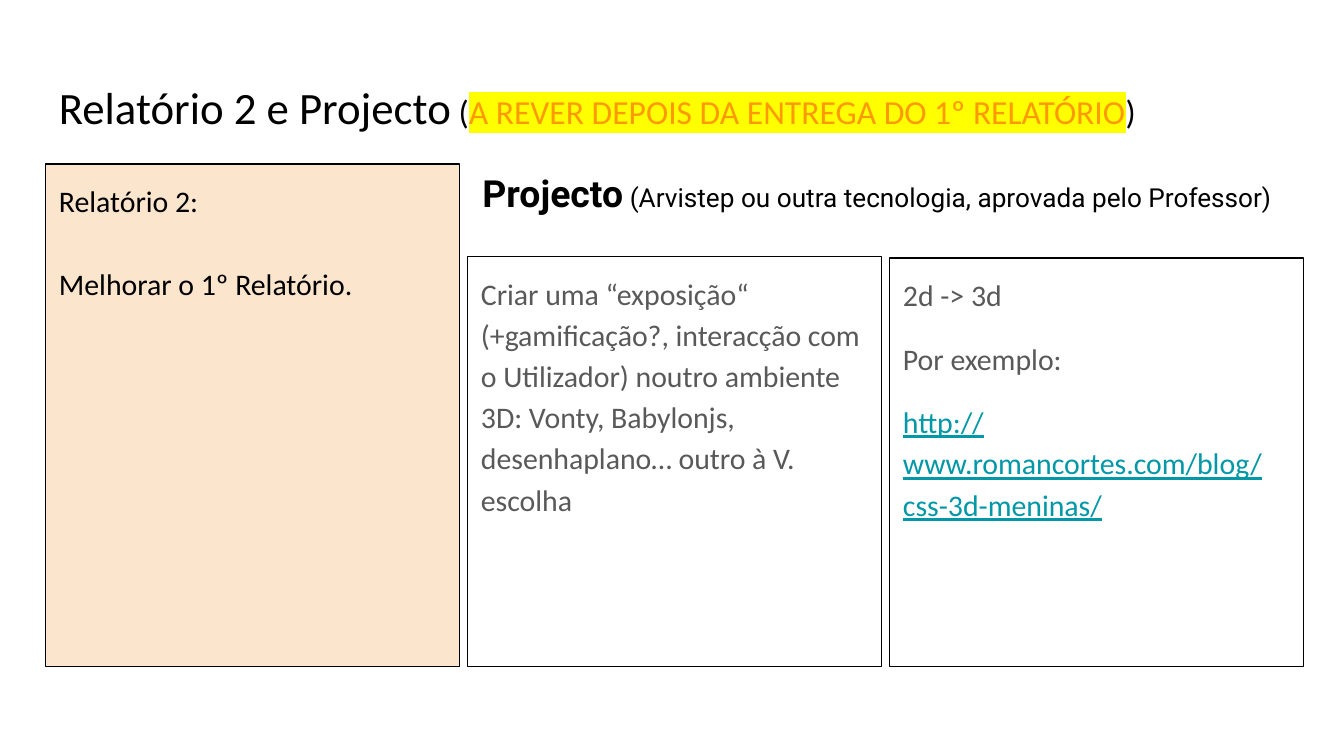
from lxml.etree import SubElement
from pptx import Presentation
from pptx.dml.color import RGBColor
from pptx.enum.shapes import MSO_SHAPE as Shape
from pptx.enum.text import MSO_ANCHOR as Anchor, PP_ALIGN as Align
from pptx.oxml.ns import qn
from pptx.util import Inches, Pt

BLACK = RGBColor(0x00, 0x00, 0x00)
GREY = RGBColor(0x59, 0x59, 0x59)
TEAL = RGBColor(0x00, 0x97, 0xA7)
ORANGE = RGBColor(0xFF, 0x99, 0x00)
YELLOW = RGBColor(0xFF, 0xFF, 0x00)
PEACH = RGBColor(0xFC, 0xE5, 0xCD)

LEFT, COLUMN, PITCH = 0.34, 3.08, 3.14
TOP, BOTTOM = 1.22, 4.96


def set_frame(shape, inset):
    frame = shape.text_frame
    frame.word_wrap = True
    frame.vertical_anchor = Anchor.TOP
    frame.margin_left = frame.margin_right = Inches(0.1)
    frame.margin_top = frame.margin_bottom = Inches(inset)
    return frame


def add_span(para, text, size, color=BLACK, bold=None):
    span = para.add_run()
    span.text = text
    span.font.size = Pt(size)
    span.font.color.rgb = color
    span.font.bold = bold
    return span


def highlight(span, color):
    mark = SubElement(span.font._element, qn("a:highlight"))
    SubElement(mark, qn("a:srgbClr"), val=str(color))


def add_heading(page, left, top, width, height, font, inset):
    box = page.shapes.add_textbox(Inches(left), Inches(top), Inches(width), Inches(height))
    para = set_frame(box, inset).paragraphs[0]
    para.font.name = font
    return para


def add_title(page, left, top, width, height):
    para = add_heading(page, left, top, width, height, "Calibri", 0.1)
    add_span(para, "Relatório 2 e Projecto", 24)
    add_span(para, " (", 18)
    notice = add_span(para, "A REVER DEPOIS DA ENTREGA DO 1º RELATÓRIO", 18, ORANGE)
    highlight(notice, YELLOW)
    add_span(para, ")", 18)


def add_project_heading(page, left, top, width, height):
    para = add_heading(page, left, top, width, height, "Roboto", 0.05)
    add_span(para, "Projecto", 20, bold=True)
    add_span(para, " (Arvistep ou outra tecnologia, aprovada pelo Professor)", 14)


def add_panel(page, left, top, texts, color, gap=0, fill=None):
    """Outlined column reaching down to BOTTOM, with gap points between paragraphs."""
    panel = page.shapes.add_shape(Shape.RECTANGLE, Inches(left), Inches(top),
                                  Inches(COLUMN), Inches(BOTTOM - top))
    panel.shadow.inherit = False
    panel.line.color.rgb = BLACK
    panel.line.width = Pt(0.75)
    if fill is None:
        panel.fill.background()
    else:
        panel.fill.solid()
        panel.fill.fore_color.rgb = fill
    frame = set_frame(panel, 0.1)
    for index, text in enumerate(texts):
        para = frame.add_paragraph() if index else frame.paragraphs[0]
        para.text = text
        para.alignment = Align.LEFT
        para.line_spacing = 1.15
        if index:
            para.space_before = Pt(gap)
        para.font.name = "Calibri"
        para.font.size = Pt(16)
        para.font.color.rgb = color
    return frame


def build_page(page):
    add_title(page, LEFT, 0.49, 9.32, 0.63)

    # Report column
    add_panel(page, LEFT, TOP, ["Relatório 2:", "Melhorar o 1º Relatório."],
              BLACK, gap=22.2, fill=PEACH)

    # Project columns
    add_panel(page, LEFT + PITCH, 1.91, [
        "Criar uma “exposição“ (+gamificação?, interacção com o Utilizador) noutro "
        "ambiente 3D: Vonty, Babylonjs, desenhaplano… outro à V. escolha"], GREY)
    example = add_panel(page, LEFT + 2 * PITCH, 1.92, [
        "2d -> 3d", "Por exemplo:",
        "http://www.romancortes.com/blog/css-3d-meninas/"], GREY, gap=12)
    address = example.paragraphs[-1]
    address.space_after = Pt(12)
    address.font.color.rgb = TEAL
    address.font.underline = True

    add_project_heading(page, 3.49, TOP, 6.22, 0.44)


def main():
    deck = Presentation()
    deck.slide_width = Inches(10)
    deck.slide_height = deck.slide_width * 9 // 16
    build_page(deck.slides.add_slide(deck.slide_layouts[6]))
    deck.save("out.pptx")


if __name__ == "__main__":
    main()
